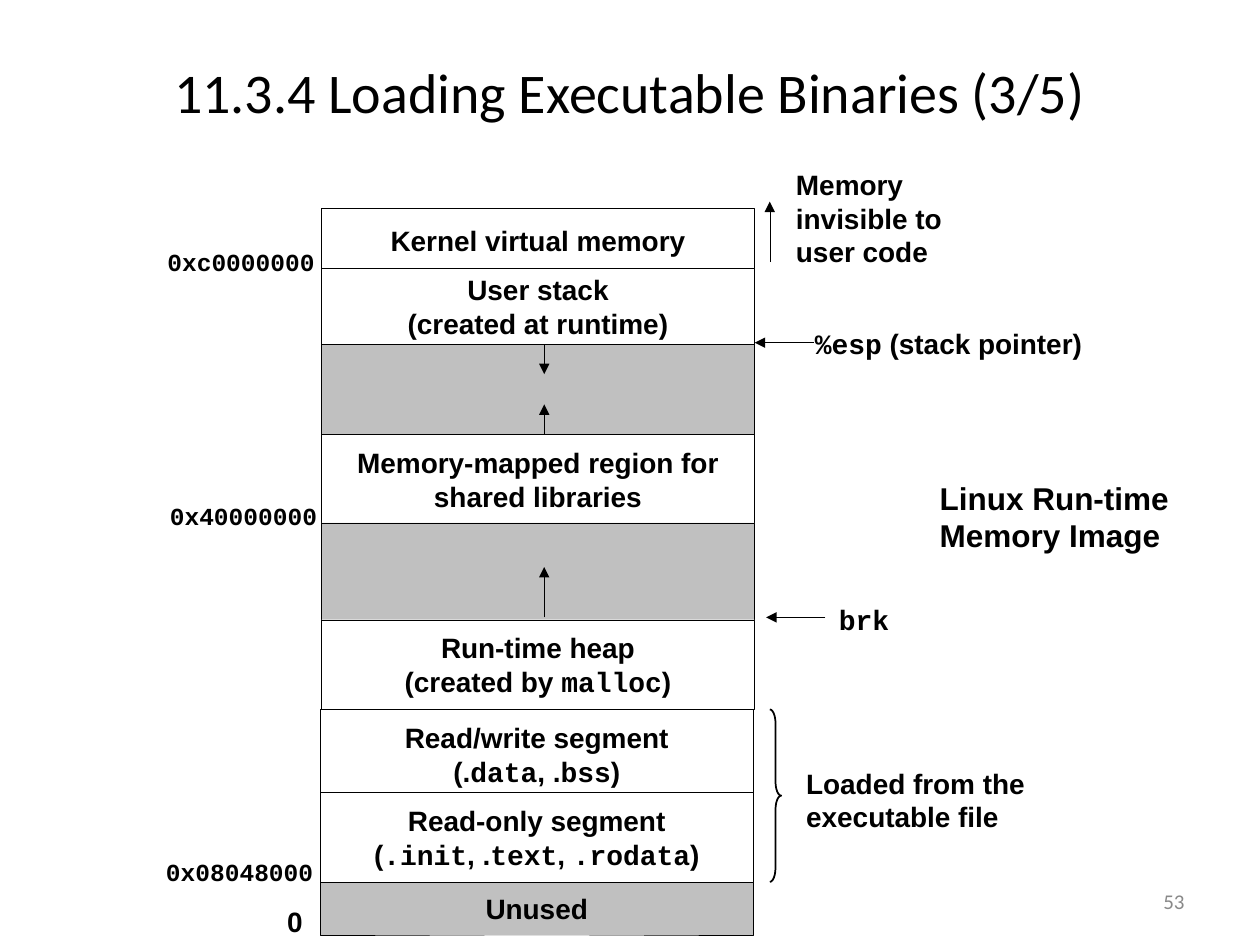
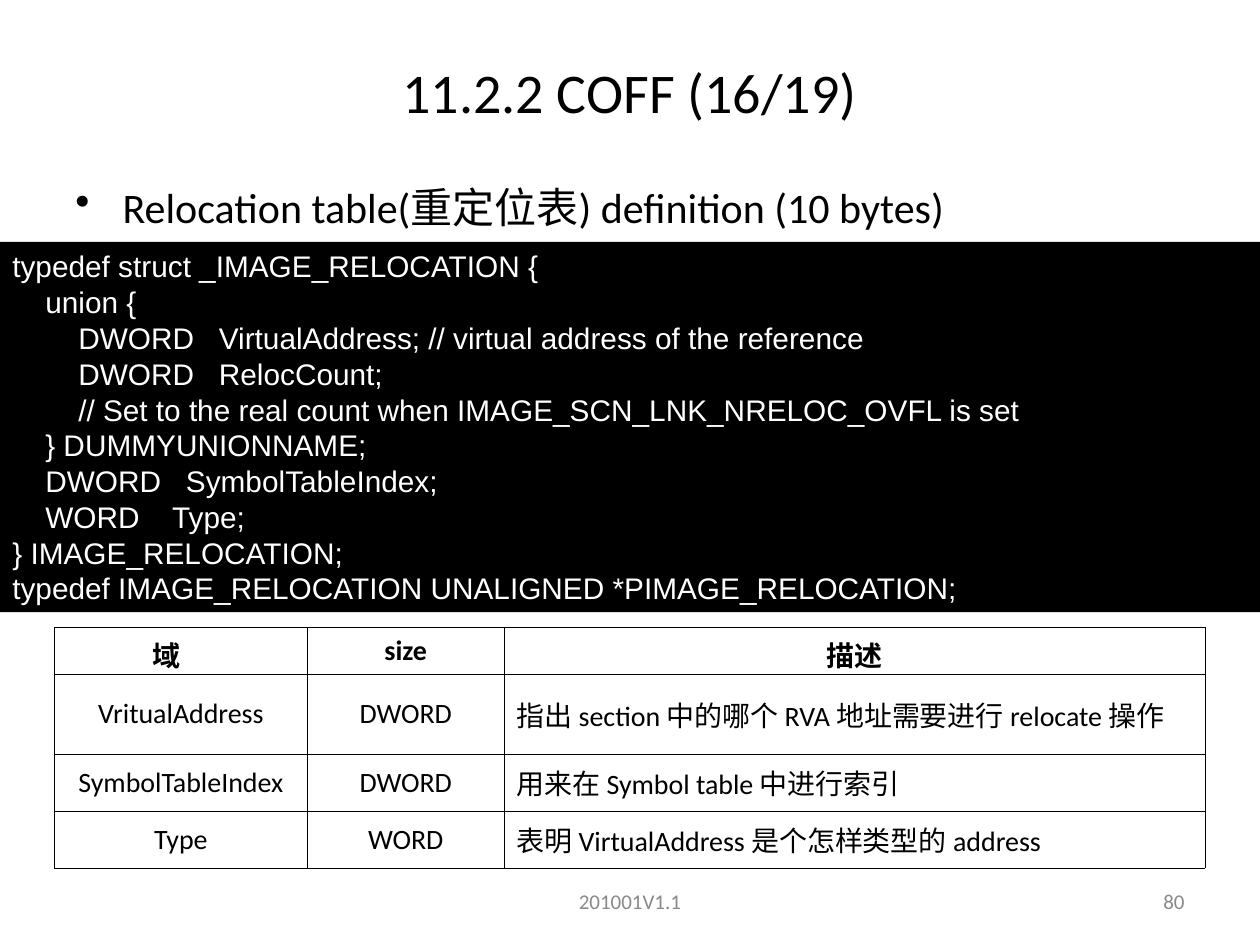
from lxml import etree
from pptx import Presentation
from pptx.dml.color import RGBColor
from pptx.enum.shapes import MSO_CONNECTOR, MSO_SHAPE
from pptx.enum.text import MSO_ANCHOR, PP_ALIGN
from pptx.oxml.ns import qn
from pptx.util import Pt

STRAIGHT = MSO_CONNECTOR.STRAIGHT
RECTANGLE, RIGHT_BRACE = MSO_SHAPE.RECTANGLE, MSO_SHAPE.RIGHT_BRACE
TOP, MIDDLE = MSO_ANCHOR.TOP, MSO_ANCHOR.MIDDLE
LEFT, CENTER, RIGHT = PP_ALIGN.LEFT, PP_ALIGN.CENTER, PP_ALIGN.RIGHT

BLACK = RGBColor(0x00, 0x00, 0x00)
WHITE = RGBColor(0xFF, 0xFF, 0xFF)
GAP_GRAY = RGBColor(0xC0, 0xC0, 0xC0)
FOOTER_GRAY = RGBColor(0x89, 0x89, 0x89)
HEADING, DIAGRAM, MONO = "Calibri", "Arial", "Courier New"
SLIDE_WIDTH, SLIDE_HEIGHT = 720, 540
HANGING = 27
HAIRLINE = 0.25

SEGMENT_WIDTH = 247.7
SEGMENTS = [
    (0.7, 0, 37.4, WHITE, "Kernel virtual memory"),
    (0.7, 59.8, 69.8, GAP_GRAY, ""),
    (0.7, 34.6, 43.2, WHITE, "User stack\n(created at runtime)"),
    (0.7, 129.6, 51, WHITE, "Memory-mapped region for\nshared libraries"),
    (0.7, 180, 55.4, GAP_GRAY, ""),
    (0.7, 235.4, 51, WHITE, "Run-time heap\n(created by `malloc`)"),
    (0, 286.6, 51, WHITE, "Read/write segment\n(.`data`, .`bss`)"),
    (0, 334.1, 51, WHITE, "Read-only segment\n(`.init`, .`text`, `.rodata`)"),
    (0, 385.2, 30.2, GAP_GRAY, "Unused"),
]
LABELS = [
    (-25.9, 394.6, 23, 26.6, 16, "0"),
    (275.7, 64.1, 167, 26.6, 16, "`%esp` (stack pointer)"),
    (264.9, -26.6, 100, 64.8, 16, "Memory\ninvisible to\nuser code"),
    (289.4, 221.8, 43.2, 26.6, 16, "`brk`"),
    (-94.3, 18.7, 98.6, 24.5, 14, "`0xc0000000`"),
    (-95.1, 367.2, 98.6, 24.5, 14, "`0x08048000`"),
    (-92.9, 164.2, 98.6, 24.5, 14, "`0x40000000`"),
    (270.7, 315.4, 144, 46, 16, "Loaded from the\nexecutable file"),
    (347, 151.2, 150.5, 50.4, 18, "Linux Run-time\nMemory Image"),
]
ARROWS = [
    (128.1, 234, 128.1, 205.2),
    (128.1, 129.6, 128.1, 112.3),
    (128.1, 77.8, 128.1, 95),
    (282.2, 77, 248.4, 77),
    (257, 31, 257, -3.6),
    (288.7, 234, 254.9, 234),
]

RELOCATION_CODE = """typedef struct _IMAGE_RELOCATION {
    union {
        DWORD   VirtualAddress; // virtual address of the reference
        DWORD   RelocCount;
        // Set to the real count when IMAGE_SCN_LNK_NRELOC_OVFL is set
    } DUMMYUNIONNAME;
    DWORD   SymbolTableIndex;
    WORD    Type;
} IMAGE_RELOCATION;
typedef IMAGE_RELOCATION UNALIGNED *PIMAGE_RELOCATION;"""
FIELD_COLUMNS = [144.7, 112.3, 400.5]
FIELD_ROWS = [
    (26.4, ["域　", "size", "描述"]),
    (45.8, ["VritualAddress", "DWORD", "指出 section 中的哪个 RVA 地址需要进行 relocate 操作"]),
    (32.6, ["SymbolTableIndex", "DWORD", "用来在 Symbol table 中进行索引"]),
    (32.6, ["Type", "WORD", "表明 VirtualAddress 是个怎样类型的 address"]),
]


def points(*lengths):
    """Turn plain numbers into point lengths."""
    return [Pt(length) for length in lengths]


def style(font, name, size, color, bold=False):
    """Set the typeface, size, colour and weight of a font."""
    font.name, font.size, font.bold = name, Pt(size), bold
    font.color.rgb = color


def write(frame, text, name, size, color=BLACK, bold=False, align=LEFT, anchor=TOP, wrap=True):
    """Fill a text frame line by line; backticks switch to the code font."""
    frame.word_wrap, frame.vertical_anchor = wrap, anchor
    for number, line in enumerate(text.split("\n")):
        paragraph = frame.add_paragraph() if number else frame.paragraphs[0]
        paragraph.alignment = align
        for index, part in enumerate(line.split("`")):
            if part:
                run = paragraph.add_run()
                run.text = part
                style(run.font, MONO if index % 2 else name, size, color, bold)


def add_text(slide, box, text, name, size, **options):
    """Add a text box and return its frame."""
    frame = slide.shapes.add_textbox(*points(*box)).text_frame
    write(frame, text, name, size, **options)
    return frame


def add_block(slide, box, fill, outlined=True):
    """Add a flat rectangle."""
    block = slide.shapes.add_shape(RECTANGLE, *points(*box))
    block.shadow.inherit = False
    block.fill.solid()
    block.fill.fore_color.rgb = fill
    if outlined:
        block.line.color.rgb, block.line.width = BLACK, Pt(HAIRLINE)
    else:
        block.line.fill.background()
    return block


def add_arrow(slide, ends):
    """Add a hairline arrow pointing at its second end."""
    arrow = slide.shapes.add_connector(STRAIGHT, *points(*ends))
    arrow.line.color.rgb, arrow.line.width = BLACK, Pt(HAIRLINE)
    etree.SubElement(arrow.line._get_or_add_ln(), qn("a:tailEnd"), type="triangle")
    etree.SubElement(arrow._element.spPr, qn("a:effectLst"))


def hang(paragraph):
    """Give a paragraph a hanging indent and return its properties."""
    properties = paragraph._p.get_or_add_pPr()
    properties.set("marL", str(Pt(HANGING)))
    properties.set("indent", str(-Pt(HANGING)))
    return properties


def add_page(deck, title, page_number, version=""):
    """Start a slide with its title, page number and optional version footer."""
    slide = deck.slides.add_slide(deck.slide_layouts[6])
    add_text(slide, (0, 21.6, SLIDE_WIDTH, 61.2), title, HEADING, 32, align=CENTER, anchor=MIDDLE)
    footers = [(516, 168, page_number, RIGHT), (246, 228, version, CENTER)]
    for left, width, text, align in footers:
        if text:
            add_text(slide, (left, 500.4, width, 28.8), text, HEADING, 12,
                     color=FOOTER_GRAY, align=align, anchor=MIDDLE)
    return slide


def add_memory_image(slide, left, top):
    """Draw the memory segments with their labels, arrows and brace."""
    for dx, dy, height, fill, text in SEGMENTS:
        segment = add_block(slide, (left + dx, top + dy, SEGMENT_WIDTH, height), fill)
        write(segment.text_frame, text, DIAGRAM, 16, bold=True,
              align=CENTER, anchor=MIDDLE, wrap=False)
    for dx, dy, width, height, size, text in LABELS:
        add_text(slide, (left + dx, top + dy, width, height), text, DIAGRAM, size,
                 bold=True, wrap=False)
    for x1, y1, x2, y2 in ARROWS:
        add_arrow(slide, (left + x1, top + y1, left + x2, top + y2))
    loaded = slide.shapes.add_shape(RIGHT_BRACE, *points(left + 257, top + 286.6, 6.5, 98.6))
    loaded.adjustments[0] = 1.25
    loaded.shadow.inherit = False
    loaded.fill.background()
    loaded.line.color.rgb, loaded.line.width = BLACK, Pt(1)


def add_bullet(slide, box, text):
    """Add a bulleted statement."""
    statement = add_text(slide, box, text, HEADING, 24).paragraphs[0]
    etree.SubElement(hang(statement), qn("a:buChar"), char="•")


def add_code(slide, box, code):
    """Show code in white on a black band."""
    band = add_block(slide, box, BLACK, outlined=False)
    write(band.text_frame, code, DIAGRAM, 17, color=WHITE, anchor=MIDDLE)
    for line in band.text_frame.paragraphs:
        line.line_spacing = Pt(20.45)


def add_borders(cell):
    """Outline a table cell in thin black."""
    properties = cell._tc.get_or_add_tcPr()
    for side in ("a:lnL", "a:lnR", "a:lnT", "a:lnB"):
        border = etree.SubElement(properties, qn(side), w=str(Pt(0.34)))
        fill = etree.SubElement(border, qn("a:solidFill"))
        etree.SubElement(fill, qn("a:srgbClr"), val=str(BLACK))


def add_fields(slide, left, top):
    """Add the table of structure fields."""
    width, height = sum(FIELD_COLUMNS), sum(row[0] for row in FIELD_ROWS)
    table = slide.shapes.add_table(len(FIELD_ROWS), len(FIELD_COLUMNS),
                                   *points(left, top, width, height)).table
    table.first_row = table.horz_banding = False
    for column, column_width in zip(table.columns, FIELD_COLUMNS):
        column.width = Pt(column_width)
    for r, (row_height, texts) in enumerate(FIELD_ROWS):
        table.rows[r].height = Pt(row_height)
        for c, text in enumerate(texts):
            cell = table.cell(r, c)
            add_borders(cell)
            cell.fill.background()
            write(cell.text_frame, text, HEADING, 16, bold=r == 0,
                  align=LEFT if r and c == 2 else CENTER)
            cell.vertical_anchor = MIDDLE
            hang(cell.text_frame.paragraphs[0])


def main():
    """Build and save both slides."""
    deck = Presentation()
    deck.slide_width, deck.slide_height = points(SLIDE_WIDTH, SLIDE_HEIGHT)

    loading = add_page(deck, "11.3.4 Loading Executable Binaries (3/5)", "53")
    add_memory_image(loading, 182.9, 118.8)

    coff = add_page(deck, "11.2.2 COFF (16/19)", "80", "201001V1.1")
    add_bullet(coff, (36, 100, 648, 382), "Relocation table(重定位表) definition (10 bytes)")
    add_code(coff, (0, 138.2, 726, 211.7), RELOCATION_CODE)
    add_fields(coff, 31, 358.6)

    deck.save("out.pptx")


if __name__ == "__main__":
    main()
